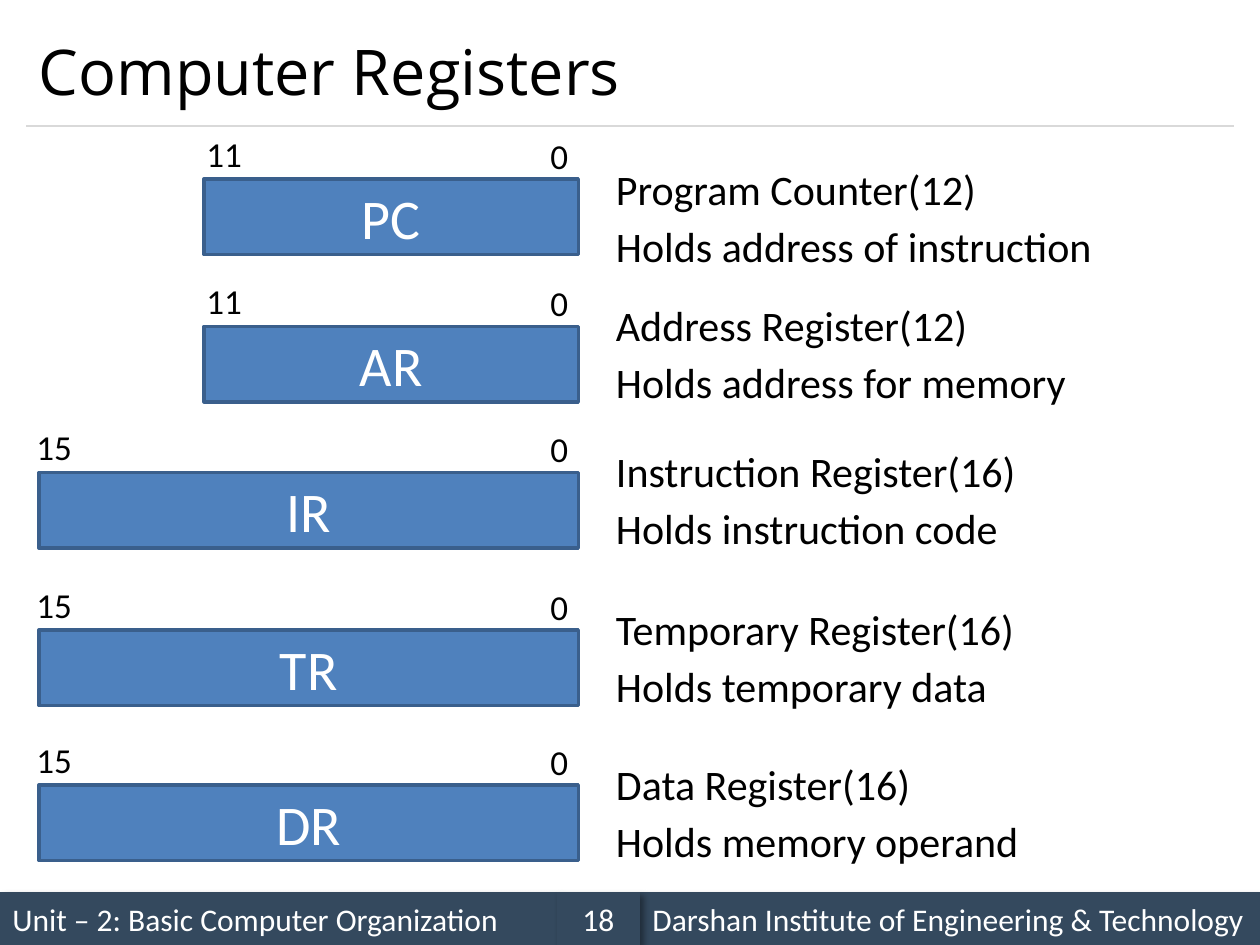
from collections import namedtuple

from lxml.etree import SubElement
from pptx import Presentation
from pptx.dml.color import RGBColor
from pptx.enum.shapes import MSO_CONNECTOR as Connector, MSO_SHAPE as Shape
from pptx.enum.text import MSO_ANCHOR as Anchor, PP_ALIGN as Align
from pptx.oxml.ns import qn
from pptx.util import Inches, Pt

COLORS = {
    "bar": "4F81BD",
    "bar_edge": "3A5F8C",
    "footer": "34495E",
    "rule": "D9D9D9",
    "dark": "000000",
    "light": "FFFFFF",
}
BODY_FONT, TITLE_FONT = "Calibri", "Open Sans"

# The slide is a grid of 100 columns by 75 rows.
SLIDE_WIDTH, SLIDE_HEIGHT = Inches(10), Inches(7.5)
COLUMN, ROW = SLIDE_WIDTH / 100, SLIDE_HEIGHT / 75

Box = namedtuple("Box", "left top width height")
Register = namedtuple("Register", "code name purpose bits bar_top caption_rise", defaults=[2.6])

REGISTERS = [
    Register("PC", "Program Counter", "Holds address of instruction", 12, 14.2, 1.7),
    Register("AR", "Address Register", "Holds address for memory", 12, 25.9),
    Register("IR", "Instruction Register", "Holds instruction code", 16, 37.5),
    Register("TR", "Temporary Register", "Holds temporary data", 16, 50),
    Register("DR", "Data Register", "Holds memory operand", 16, 62.3),
]
BAR_RIGHT, BAR_HEIGHT = 45.9, 6
BAR_WIDTHS = {12: 29.7, 16: 42.8}
BIT_OUTDENTS = {12: 0.9, 16: 1.3}
CAPTION_LEFT, CAPTION_STEP = 47.9, 4.5


def color(name):
    return RGBColor.from_string(COLORS[name])


def to_emu(box):
    return (round(box.left * COLUMN), round(box.top * ROW),
            round(box.width * COLUMN), round(box.height * ROW))


def write(frame, text, size, ink="dark", align=Align.LEFT, font=BODY_FONT, wrap=True):
    frame.word_wrap = wrap
    paragraph = frame.paragraphs[0]
    paragraph.alignment = align
    run = paragraph.add_run()
    run.text = text
    run.font.size, run.font.name = Pt(size), font
    run.font.color.rgb = color(ink)


def add_label(slide, box, text, size, anchor=Anchor.TOP, **style):
    frame = slide.shapes.add_textbox(*to_emu(box)).text_frame
    frame.vertical_anchor = anchor
    write(frame, text, size, **style)


def add_panel(slide, box, fill, text, size, align=Align.CENTER):
    panel = slide.shapes.add_shape(Shape.RECTANGLE, *to_emu(box))
    panel.shadow.inherit = False
    panel.fill.solid()
    panel.fill.fore_color.rgb = color(fill)
    panel.line.fill.background()
    panel.text_frame.vertical_anchor = Anchor.MIDDLE
    write(panel.text_frame, text, size, "light", align)
    return panel


def add_drop_shadow(panel):
    effects = panel._element.spPr.find(qn("a:effectLst"))
    shadow = SubElement(effects, qn("a:outerShdw"), blurRad=str(Pt(4)), dist=str(Pt(3)),
                        dir=str(45 * 60000), algn="tl", rotWithShape="0")
    tint = SubElement(shadow, qn("a:srgbClr"), val=COLORS["dark"])
    SubElement(tint, qn("a:alpha"), val="40000")


def add_header(slide, box, title):
    """Title with a thin rule along the bottom of the box."""
    add_label(slide, box, title, 36, Anchor.MIDDLE, font=TITLE_FONT)
    left, top, width, height = to_emu(box)
    rule = slide.shapes.add_connector(Connector.STRAIGHT, left, top + height,
                                      left + width, top + height)
    rule.line.color.rgb = color("rule")
    rule.line.width = Pt(0.75)
    SubElement(rule._element.spPr, qn("a:effectLst"))


def add_footer(slide, box, unit, institute, number):
    unit_width, number_width = 44.2, 6.6
    number_left = box.left + unit_width
    institute_left = number_left + number_width
    cells = [
        (box.left, unit_width, unit, Align.LEFT),
        (institute_left, box.width - institute_left, institute, Align.LEFT),
        (number_left, number_width, number, Align.CENTER),
    ]
    for left, width, text, align in cells:
        cell = Box(left, box.top, width, box.height)
        add_drop_shadow(add_panel(slide, cell, "footer", text, 18, align))


def add_register(slide, box, register):
    """Register bar filling the box, with bit numbers above and captions beside it."""
    bar = add_panel(slide, box, "bar", register.code, 32)
    bar.line.color.rgb = color("bar_edge")
    bar.line.width = Pt(2)

    right = box.left + box.width
    high_bit = Box(box.left - BIT_OUTDENTS[register.bits], box.top - 4.2, 5, 4.4)
    low_bit = Box(right - 3.2, box.top - 4.05, 3, 4.4)
    add_label(slide, high_bit, str(register.bits - 1), 20, align=Align.CENTER)
    add_label(slide, low_bit, "0", 20, align=Align.CENTER)

    name = Box(CAPTION_LEFT, box.top - register.caption_rise, 43.8, 5)
    purpose = name._replace(top=name.top + CAPTION_STEP)
    add_label(slide, name, f"{register.name}({register.bits})", 24)
    add_label(slide, purpose, register.purpose, 24, wrap=False)


def main():
    deck = Presentation()
    deck.slide_width, deck.slide_height = SLIDE_WIDTH, SLIDE_HEIGHT
    slide = deck.slides.add_slide(deck.slide_layouts[6])

    add_footer(slide, Box(0, 70.8, 100, 4.2), "Unit – 2: Basic Computer Organization",
               "Darshan Institute of Engineering & Technology", "18")
    add_header(slide, Box(2.1, 1.2, 95.8, 8.8), "Computer Registers")
    for register in REGISTERS:
        width = BAR_WIDTHS[register.bits]
        bar_box = Box(BAR_RIGHT - width, register.bar_top, width, BAR_HEIGHT)
        add_register(slide, bar_box, register)

    deck.save("out.pptx")


if __name__ == "__main__":
    main()
